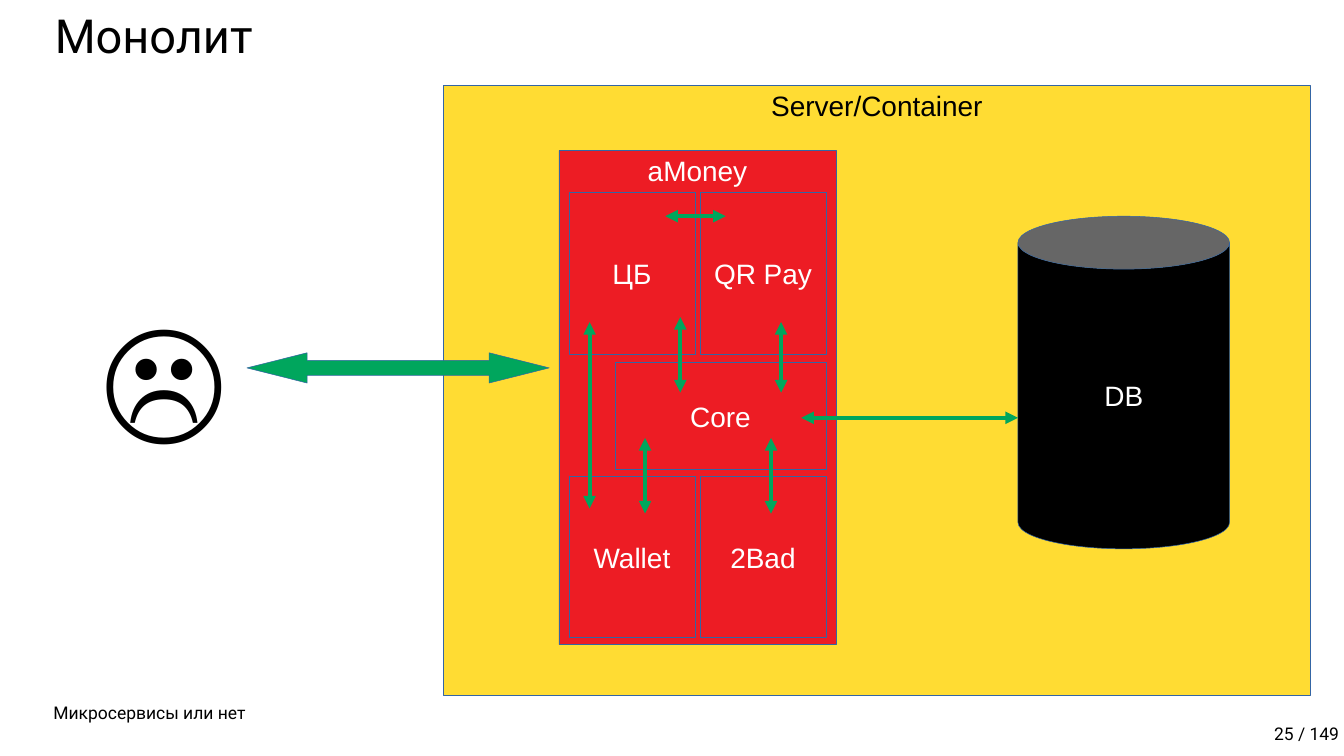
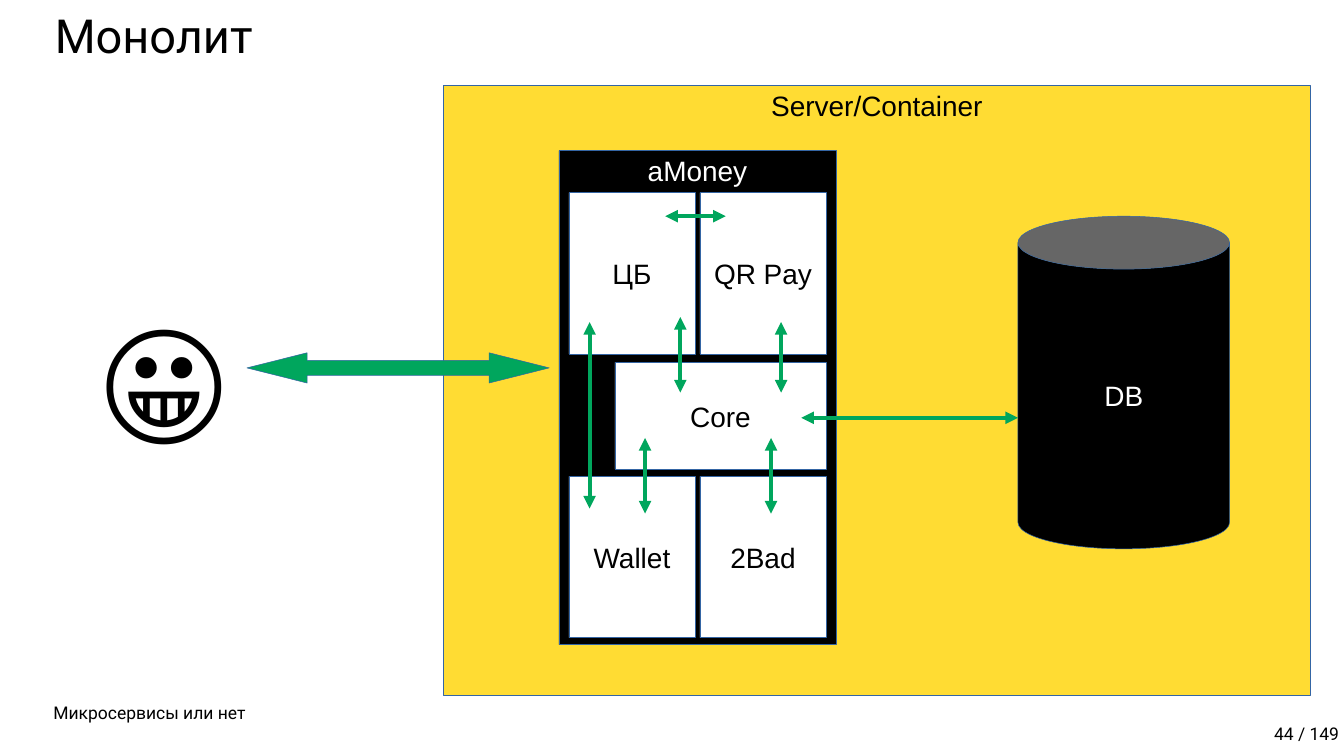
from dataclasses import dataclass

from lxml.etree import SubElement
from pptx import Presentation
from pptx.dml.color import RGBColor
from pptx.enum.shapes import MSO_CONNECTOR, MSO_SHAPE
from pptx.enum.text import MSO_ANCHOR, MSO_AUTO_SIZE, PP_ALIGN
from pptx.oxml.ns import qn
from pptx.util import Inches, Pt


@dataclass(frozen=True)
class Theme:
    """Colours, fonts and type sizes of the deck."""

    black: str = "000000"
    white: str = "FFFFFF"
    yellow: str = "FFDC33"
    red: str = "ED1C24"
    green: str = "00A65D"
    outline: str = "3465A4"
    heading_font: str = "Roboto"
    diagram_font: str = "Arial"
    title_size: int = 67
    label_size: int = 40
    footer_size: int = 25
    face_size: int = 196
    link_width: int = 6


@dataclass(frozen=True)
class Mood:
    """What differs from one monolith slide to the next."""

    number: int
    face: str
    application_fill: str
    module_fill: str
    module_color: str


COLUMNS, ROWS = 26.67, 15
PAGE_TOTAL = 149
THEME = Theme()
MOODS = (
    Mood(25, "☹️", THEME.red, THEME.red, THEME.white),
    Mood(44, "😀", THEME.black, THEME.white, THEME.black),
)

MODULE_LEFT, MODULE_WIDTH, MODULE_HEIGHT, MODULE_GAP = 11.29, 2.5, 3.2, 0.1
MODULE_ROWS = ((9.45, ("Wallet", "2Bad")), (3.82, ("ЦБ", "QR Pay")))
CORE_AREA = (12.2, 7.19, 4.19, 2.12)
LINKS = (
    (15.9, 8.29, 20.2, 8.29),
    (15.5, 7.79, 15.5, 6.39),
    (13.5, 7.79, 13.5, 6.29),
    (12.8, 10.19, 12.8, 8.69),
    (15.3, 10.19, 15.3, 8.69),
    (11.7, 10.09, 11.7, 6.39),
    (14.4, 4.29, 13.2, 4.29),
)


class Painter:
    """Draws on the current slide, on a grid with cells of one inch."""

    def __init__(self, deck, theme):
        """Keep the deck and its style."""
        self.deck = deck
        self.theme = theme
        self.page = None

    def start_page(self):
        """Add a blank white slide and make it current."""
        self.page = self.deck.slides.add_slide(self.deck.slide_layouts[6])
        fill = self.page.background.fill
        fill.solid()
        fill.fore_color.rgb = RGBColor.from_string(self.theme.white)

    def set_words(self, frame, words, size, font, color, align, anchor):
        """Fill a text frame with one formatted paragraph."""
        frame.text = words
        frame.vertical_anchor = anchor
        para = frame.paragraphs[0]
        para.alignment = align
        for span in para.runs:
            span.font.size = Pt(size)
            span.font.name = font
            span.font.color.rgb = RGBColor.from_string(color)

    def text(self, area, words, size, font, align=PP_ALIGN.LEFT, anchor=MSO_ANCHOR.TOP):
        """Add a wrapping text box and return it."""
        box = self.page.shapes.add_textbox(*map(Inches, area))
        box.text_frame.word_wrap = True
        self.set_words(box.text_frame, words, size, font, self.theme.black, align, anchor)
        return box

    def heading(self, area, words, size, align=PP_ALIGN.LEFT, anchor=MSO_ANCHOR.TOP):
        """Add a tightly spaced title or footer."""
        box = self.text(area, words, size, self.theme.heading_font, align, anchor)
        box.text_frame.paragraphs[0].line_spacing = 0.9

    def face(self, area, symbol):
        """Add the emoji that stands for the user."""
        box = self.text(area, symbol, self.theme.face_size, self.theme.diagram_font)
        box.text_frame.auto_size = MSO_AUTO_SIZE.SHAPE_TO_FIT_TEXT

    def shape(self, area, fill, kind=MSO_SHAPE.RECTANGLE):
        """Add a filled shape with a hairline outline."""
        shape = self.page.shapes.add_shape(kind, *map(Inches, area))
        shape.shadow.inherit = False
        shape.fill.solid()
        shape.fill.fore_color.rgb = RGBColor.from_string(fill)
        shape.line.color.rgb = RGBColor.from_string(self.theme.outline)
        shape.line.width = Pt(0)
        return shape

    def block(self, area, label, fill, color, anchor=MSO_ANCHOR.MIDDLE,
              kind=MSO_SHAPE.RECTANGLE):
        """Add a shape with a centred label."""
        frame = self.shape(area, fill, kind).text_frame
        frame.word_wrap = False
        self.set_words(frame, label, self.theme.label_size, self.theme.diagram_font,
                       color, PP_ALIGN.CENTER, anchor)

    def wide_arrow(self, area):
        """Add the block arrow between the user and the application."""
        arrow = self.shape(area, self.theme.green, MSO_SHAPE.LEFT_RIGHT_ARROW)
        arrow.adjustments[0] = 0.5
        arrow.adjustments[1] = 1.99

    def link(self, ends):
        """Add a line with arrowheads at both ends."""
        link = self.page.shapes.add_connector(MSO_CONNECTOR.STRAIGHT, *map(Inches, ends))
        link.line.color.rgb = RGBColor.from_string(self.theme.green)
        link.line.width = Pt(self.theme.link_width)
        properties = link._element.spPr
        line = properties.find(qn("a:ln"))
        for end in ("a:headEnd", "a:tailEnd"):
            SubElement(line, qn(end), type="triangle")
        SubElement(properties, qn("a:effectLst"))


def draw_footer(painter, number):
    """Draw the talk's name and the page number."""
    size = painter.theme.footer_size
    width, height = 11.35, 0.56
    painter.heading((0.96, 13.85, width, height), "Микросервисы или нет", size,
                    anchor=MSO_ANCHOR.BOTTOM)
    painter.heading((COLUMNS - width, 14.25, width, height), f"{number} / {PAGE_TOTAL}",
                    size, PP_ALIGN.RIGHT, MSO_ANCHOR.BOTTOM)


def draw_server(painter, mood):
    """Draw the server with its application, modules and database."""
    theme = painter.theme
    painter.block((8.8, 1.7, 17.2, 12.1), "Server/Container", theme.yellow, theme.black,
                  MSO_ANCHOR.TOP)
    painter.block((11.09, 2.99, 5.5, 9.8), "aMoney", mood.application_fill, theme.white,
                  MSO_ANCHOR.TOP)
    for top, labels in MODULE_ROWS:
        for column, label in enumerate(labels):
            left = MODULE_LEFT + column * (MODULE_WIDTH + MODULE_GAP)
            painter.block((left, top, MODULE_WIDTH, MODULE_HEIGHT), label,
                          mood.module_fill, mood.module_color)
    painter.block(CORE_AREA, "Core", mood.module_fill, mood.module_color)
    painter.block((20.2, 4.29, 4.2, 6.6), "DB", theme.black, theme.white,
                  kind=MSO_SHAPE.CAN)
    for ends in LINKS:
        painter.link(ends)


def draw_monolith(painter, mood):
    """Draw one whole monolith slide."""
    painter.start_page()
    draw_footer(painter, mood.number)
    draw_server(painter, mood)
    painter.heading((0.99, 0.2, 25, 1.4), "Монолит", painter.theme.title_size)
    painter.wide_arrow((4.9, 7, 6, 0.6))
    painter.face((1.92, 5.7, 3.08, 3.4), mood.face)


def main():
    """Build the deck and save it."""
    deck = Presentation()
    deck.slide_width, deck.slide_height = Inches(COLUMNS), Inches(ROWS)
    painter = Painter(deck, THEME)
    for mood in MOODS:
        draw_monolith(painter, mood)
    deck.save("out.pptx")


if __name__ == "__main__":
    main()
